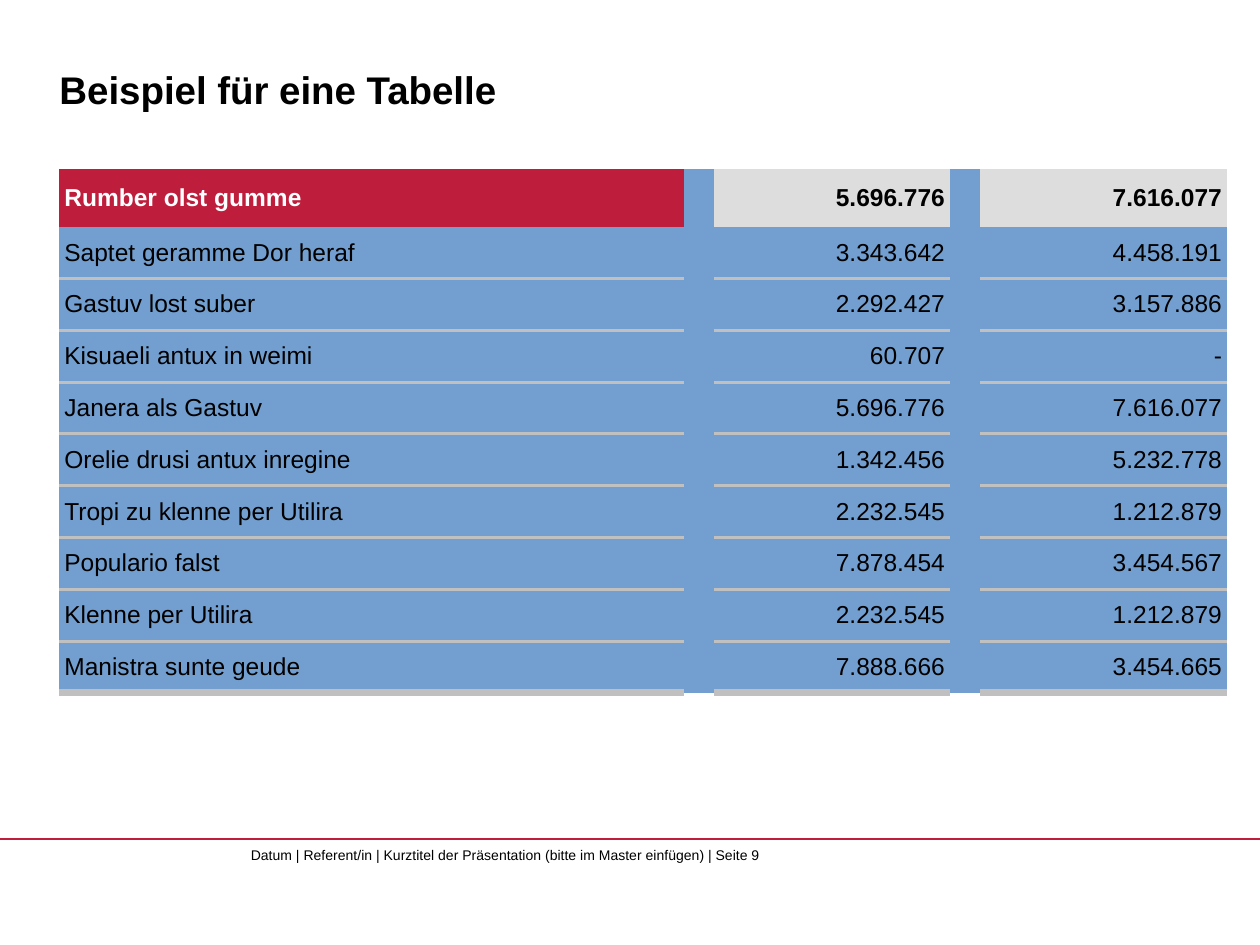
from lxml.etree import SubElement
from pptx import Presentation
from pptx.dml.color import RGBColor
from pptx.enum.shapes import MSO_CONNECTOR
from pptx.enum.text import MSO_ANCHOR, MSO_AUTO_SIZE, PP_ALIGN
from pptx.oxml.ns import qn
from pptx.util import Pt

FONT = "Arial"
BLACK, WHITE, RED = "000000", "FFFFFF", "BE1E3C"
BLUE, LIGHT, RULE = "729FCF", "DDDDDD", "C0C0C0"
NO_STYLE = "{2D5ABB26-0587-4C30-8999-92F81FD0307C}"
COLUMN_WIDTHS = [357, 13.5, 135, 13.5, 141]
HEADER_HEIGHT = 33.1
ROWS = [
    ("Rumber olst gumme", "5.696.776", "7.616.077"),
    ("Saptet geramme Dor heraf", "3.343.642", "4.458.191"),
    ("Gastuv lost suber", "2.292.427", "3.157.886"),
    ("Kisuaeli antux in weimi", "60.707", "-"),
    ("Janera als Gastuv", "5.696.776", "7.616.077"),
    ("Orelie drusi antux inregine", "1.342.456", "5.232.778"),
    ("Tropi zu klenne per Utilira", "2.232.545", "1.212.879"),
    ("Populario falst", "7.878.454", "3.454.567"),
    ("Klenne per Utilira", "2.232.545", "1.212.879"),
    ("Manistra sunte geude", "7.888.666", "3.454.665"),
]


def rgb(value):
    return RGBColor.from_string(value)


def format_text(tf, size, color=BLACK, bold=False, align=PP_ALIGN.LEFT):
    for p in tf.paragraphs:
        p.alignment = align
        for r in p.runs:
            r.font.name = FONT
            r.font.size = Pt(size)
            r.font.bold = bold
            r.font.color.rgb = rgb(color)


def clear_margins(tf):
    tf.margin_left = tf.margin_right = tf.margin_top = tf.margin_bottom = 0


def add_title(s, x, y, w, h):
    sp = s.shapes.title
    sp.left, sp.top, sp.width, sp.height = Pt(x), Pt(y), Pt(w), Pt(h)
    tf = sp.text_frame
    tf.text = "Beispiel für eine Tabelle"
    tf.auto_size = MSO_AUTO_SIZE.NONE
    tf.vertical_anchor = MSO_ANCHOR.BOTTOM
    clear_margins(tf)
    format_text(tf, 22, bold=True)


def add_border(cell, side, width):
    ln = SubElement(cell._tc.get_or_add_tcPr(), qn(f"a:{side}"), w=str(Pt(width)))
    fill = SubElement(ln, qn("a:solidFill"))
    SubElement(fill, qn("a:srgbClr"), val=RULE)


def fill_cell(cell, color):
    cell.fill.solid()
    cell.fill.fore_color.rgb = rgb(color)


def format_cell(cell, text, row, is_label):
    is_header = row == 0
    cell.text = text
    cell.vertical_anchor = MSO_ANCHOR.MIDDLE
    cell.margin_left = Pt(3 if is_header or is_label else 7.2)
    cell.margin_right = Pt(3)
    cell.margin_top = cell.margin_bottom = Pt(3.6)
    format_text(
        cell.text_frame, 14,
        color=WHITE if is_header and is_label else BLACK,
        bold=is_header,
        align=PP_ALIGN.LEFT if is_label else PP_ALIGN.RIGHT,
    )
    if row > 1:
        add_border(cell, "lnT", 2)
    if not is_header:
        add_border(cell, "lnB", 4.5 if row == len(ROWS) - 1 else 2)
    header_color = RED if is_label else LIGHT
    fill_cell(cell, header_color if is_header else BLUE)


def add_figures_table(s, x, y, w, h):
    frame = s.shapes.add_table(len(ROWS), len(COLUMN_WIDTHS), Pt(x), Pt(y), Pt(w), Pt(h))
    table = frame.table
    table.first_row = table.horz_banding = False
    table._tbl.tblPr.find(qn("a:tableStyleId")).text = NO_STYLE
    for column, width in zip(table.columns, COLUMN_WIDTHS):
        column.width = Pt(width * w / sum(COLUMN_WIDTHS))
    body_height = (h - HEADER_HEIGHT) / (len(ROWS) - 1)
    for i, values in enumerate(ROWS):
        table.rows[i].height = Pt(body_height if i else HEADER_HEIGHT)
        for j in range(len(COLUMN_WIDTHS)):
            cell = table.cell(i, j)
            if j % 2:
                fill_cell(cell, BLUE)
            else:
                format_cell(cell, values[j // 2], i, j == 0)


def add_footer(s, x, y, w, h):
    line = s.shapes.add_connector(MSO_CONNECTOR.STRAIGHT, Pt(x), Pt(y), Pt(x + w), Pt(y))
    line.line.color.rgb = rgb(RED)
    line.line.width = Pt(0.75)
    SubElement(line._element.spPr, qn("a:effectLst"))
    sp = s.shapes.add_textbox(Pt(x + 143.3), Pt(y + 4.3), Pt(323.3), Pt(h - 4.3))
    tf = sp.text_frame
    tf.text = "Datum | Referent/in | Kurztitel der Präsentation (bitte im Master einfügen) | Seite 9"
    tf.word_wrap = False
    clear_margins(tf)
    format_text(tf, 8)


def main():
    prs = Presentation()
    prs.slide_width, prs.slide_height = Pt(720), Pt(540)
    s = prs.slides.add_slide(prs.slide_layouts[5])
    add_footer(s, 0, 479.5, 720, 23.7)
    add_title(s, 34, 8.6, 659.5, 55.4)
    add_figures_table(s, 33.8, 96.5, 660, 299.5)
    prs.save("out.pptx")


if __name__ == "__main__":
    main()
